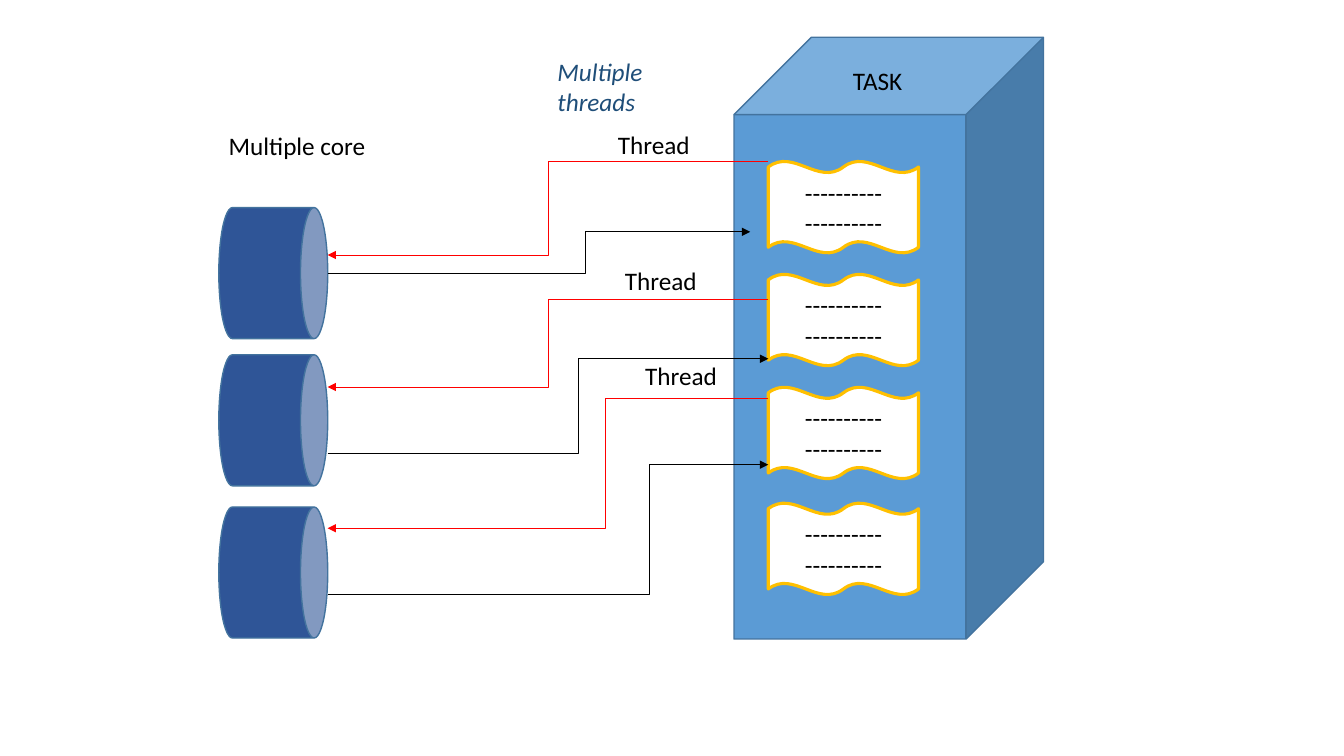
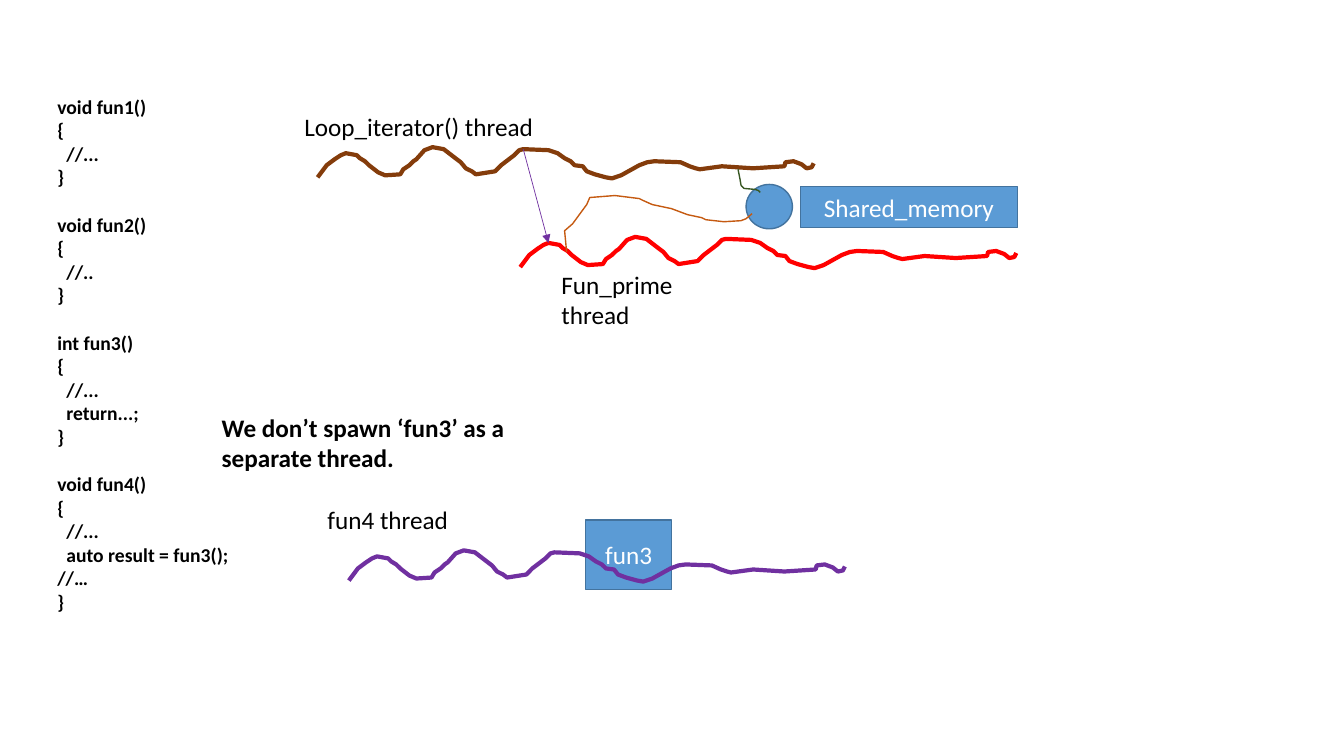
import pptx
import pptx.dml.color
import pptx.enum.shapes
import pptx.enum.text
import pptx.oxml.ns
import pptx.util
from lxml import etree

Inches = pptx.util.Inches
Pt = pptx.util.Pt
SHAPES = pptx.enum.shapes.MSO_SHAPE
CONNECTORS = pptx.enum.shapes.MSO_CONNECTOR
qn = pptx.oxml.ns.qn

FONT = "Calibri"
BLUE, NAVY, OUTLINE, GOLD = "5B9BD5", "2F5597", "43739E", "FFC000"
RED, PURPLE, BLACK, WHITE = "FF0000", "7030A0", "000000", "FFFFFF"
HUNDREDTH = Inches(0.01)

# Paths are in hundredths of an inch from their own origin.
WAVE = [
    (0, 30), (6, 22), (9, 18), (17, 12), (23, 8), (28, 6), (39, 8), (42, 11),
    (47, 14), (51, 18), (60, 25), (67, 28), (82, 27), (85, 22), (91, 18),
    (95, 14), (98, 12), (106, 3), (114, 0), (125, 2), (138, 12), (142, 15),
    (147, 21), (153, 24), (157, 27), (176, 24), (182, 18), (195, 8), (200, 3),
    (204, 2), (229, 3), (238, 6), (245, 11), (251, 14), (255, 18), (263, 19),
    (267, 24), (275, 27), (286, 30), (292, 31), (301, 28), (319, 18),
    (327, 15), (334, 14), (360, 15), (369, 19), (375, 21), (379, 22),
    (401, 19), (432, 21), (463, 19), (464, 15), (472, 14), (480, 17),
    (485, 21), (490, 20), (492, 16),
]
LOOP_TO_MEMORY = [(0, 0), (2, 10), (3, 16), (6, 19), (17, 20), (20, 21), (22, 23)]
PRIME_TO_MEMORY = [
    (186, 18), (180, 23), (175, 25), (158, 26), (140, 24), (136, 22),
    (122, 19), (106, 13), (87, 9), (78, 5), (74, 3), (50, 0), (25, 2),
    (22, 9), (19, 13), (8, 28), (0, 35), (1, 45), (2, 56),
]

FUNCTIONS = [
    ["void fun1()", "{", "  //...", "}"],
    ["void fun2()", "{", "  //..", "}"],
    ["int fun3()", "{", "  //...", "  return...;", "}"],
    ["void fun4()", "{", "  //...", "  auto result = fun3();", "//…", "}"],
]


def rgb(color):
    return pptx.dml.color.RGBColor.from_string(color)


def set_line(line, color, width):
    line.color.rgb = rgb(color)
    line.width = Pt(width)


def set_text(shape, text, color=BLACK, size=18, bold=False, italic=False,
             alignment=None):
    shape.text_frame.text = text
    for paragraph in shape.text_frame.paragraphs:
        paragraph.alignment = alignment
        for run in paragraph.runs:
            run.font.name = FONT
            run.font.size = Pt(size)
            run.font.bold = bold
            run.font.italic = italic
            run.font.color.rgb = rgb(color)


def add_block(slide, kind, box, fill=BLUE, line=OUTLINE, width=1, text=None,
              text_color=WHITE):
    shape = slide.shapes.add_shape(kind, *map(Inches, box))
    shape.shadow.inherit = False
    shape.fill.solid()
    shape.fill.fore_color.rgb = rgb(fill)
    set_line(shape.line, line, width)
    if text:
        shape.text_frame.vertical_anchor = pptx.enum.text.MSO_ANCHOR.MIDDLE
        set_text(shape, text, text_color,
                 alignment=pptx.enum.text.PP_ALIGN.CENTER)
    return shape


def add_label(slide, box, text, **style):
    label = slide.shapes.add_textbox(*map(Inches, box))
    label.text_frame.word_wrap = True
    set_text(label, text, **style)
    return label


def add_arrow(slide, start, end, color, bend=None):
    """Draw a thin arrow; bend is the share of its width before an elbow."""
    kind = CONNECTORS.STRAIGHT if bend is None else CONNECTORS.ELBOW
    arrow = slide.shapes.add_connector(kind, *map(Inches, start + end))
    set_line(arrow.line, color, 0.5)
    properties = arrow._element.spPr
    etree.SubElement(arrow.line._get_or_add_ln(), qn("a:tailEnd"), type="triangle")
    etree.SubElement(properties, qn("a:effectLst"))
    if bend is not None:
        adjustments = properties.find(qn("a:prstGeom")).get_or_add_avLst()
        etree.SubElement(adjustments, qn("a:gd"), name="adj1",
                         fmla=f"val {round(bend * 100000)}")


def add_curve(slide, left, top, points, color, width):
    builder = slide.shapes.build_freeform(*points[0], scale=HUNDREDTH)
    builder.add_line_segments(points[1:], close=False)
    curve = builder.convert_to_shape(Inches(left), Inches(top))
    curve.shadow.inherit = False
    curve.fill.background()
    set_line(curve.line, color, width)


def add_task(slide, left, top):
    add_block(slide, SHAPES.CUBE, (left, top, 3.07, 5.97))
    for offset in (1.23, 2.35, 3.47, 4.62):
        add_block(slide, SHAPES.DOUBLE_WAVE,
                  (left + 0.34, top + offset, 1.49, 0.91),
                  WHITE, GOLD, 2.25, "----------\n----------", BLACK)
    add_label(slide, (left + 1.08, top + 0.23, 1.33, 0.4), "TASK")


def add_cores(slide, left, tops):
    for top in tops:
        core = add_block(slide, SHAPES.CAN, (left, top, 1.3, 1.08), NAVY)
        core.rotation = 90


def build_multithreading(slide):
    add_task(slide, 7.28, 0.37)
    add_cores(slide, 2.06, (2.17, 3.63, 5.14))
    core_side, task_side = 3.25, 7.62
    for task_y, core_y, bend in ((1.6, 2.53, 0.5), (2.97, 3.84, 0.5),
                                 (3.95, 5.24, 0.37)):
        add_arrow(slide, (task_side, task_y), (core_side, core_y), RED, bend)
    for core_y, task_x, task_y, bend in ((2.71, 7.44, 2.3, 0.61),
                                         (4.5, task_side, 3.56, 0.57),
                                         (5.9, task_side, 4.61, 0.73)):
        add_arrow(slide, (core_side, core_y), (task_x, task_y), BLACK, bend)
    add_label(slide, (2.17, 1.24, 2, 0.4), "Multiple core")
    for left, top in ((6.03, 1.23), (6.1, 2.58), (6.3, 3.53)):
        add_label(slide, (left, top, 0.97, 0.4), "Thread")
    add_label(slide, (5.43, 0.51, 1.15, 0.71), "Multiple threads",
              color="1F4E79", italic=True)


def add_code(slide, box):
    """List the functions, indenting lines and spacing functions apart."""
    lines = [line for function in FUNCTIONS for line in function]
    code = add_label(slide, box, "\n".join(line.strip() for line in lines),
                     size=14, bold=True)
    headings = [function[0] for function in FUNCTIONS[1:]]
    for paragraph, line in zip(code.text_frame.paragraphs, lines):
        if line in headings:
            paragraph.space_before = Pt(17)
        if line.startswith(" "):
            paragraph._p.get_or_add_pPr().set("marL", str(Inches(0.09)))


def add_shared_memory(slide, left, top):
    add_block(slide, SHAPES.RECTANGLE, (left + 0.54, top + 0.02, 2.15, 0.41),
              text="Shared_memory")
    add_block(slide, SHAPES.OVAL, (left, top, 0.46, 0.44))
    add_curve(slide, left - 0.08, top - 0.15, LOOP_TO_MEMORY, "385723", 1)
    add_curve(slide, left - 1.8, top + 0.11, PRIME_TO_MEMORY, "C55A11", 1)


def build_thread_timeline(slide):
    add_code(slide, (0.47, 0.89, 2.17, 5.28))
    add_block(slide, SHAPES.RECTANGLE, (5.81, 5.16, 0.85, 0.69), text="fun3")
    for left, top, color in ((3.15, 1.46, "843C0B"), (5.16, 2.35, RED),
                             (3.46, 5.46, PURPLE)):
        add_curve(slide, left, top, WAVE, color, 3)
    add_label(slide, (2.92, 1.06, 3, 0.4), "Loop_iterator() thread")
    add_label(slide, (5.47, 2.62, 1.95, 0.71), "Fun_prime thread")
    add_label(slide, (3.15, 4.95, 1.53, 0.4), "fun4 thread")
    add_label(slide, (2.1, 4.04, 3.71, 0.71),
              "We don’t spawn ‘fun3’ as a separate thread.", bold=True)
    add_arrow(slide, (5.19, 1.48), (5.44, 2.41), PURPLE)
    add_shared_memory(slide, 7.4, 1.83)


def main():
    presentation = pptx.Presentation()
    presentation.slide_width = Inches(13.33)
    presentation.slide_height = Inches(7.5)
    blank = presentation.slide_layouts[6]
    for build in (build_multithreading, build_thread_timeline):
        build(presentation.slides.add_slide(blank))
    presentation.save("out.pptx")


if __name__ == "__main__":
    main()
